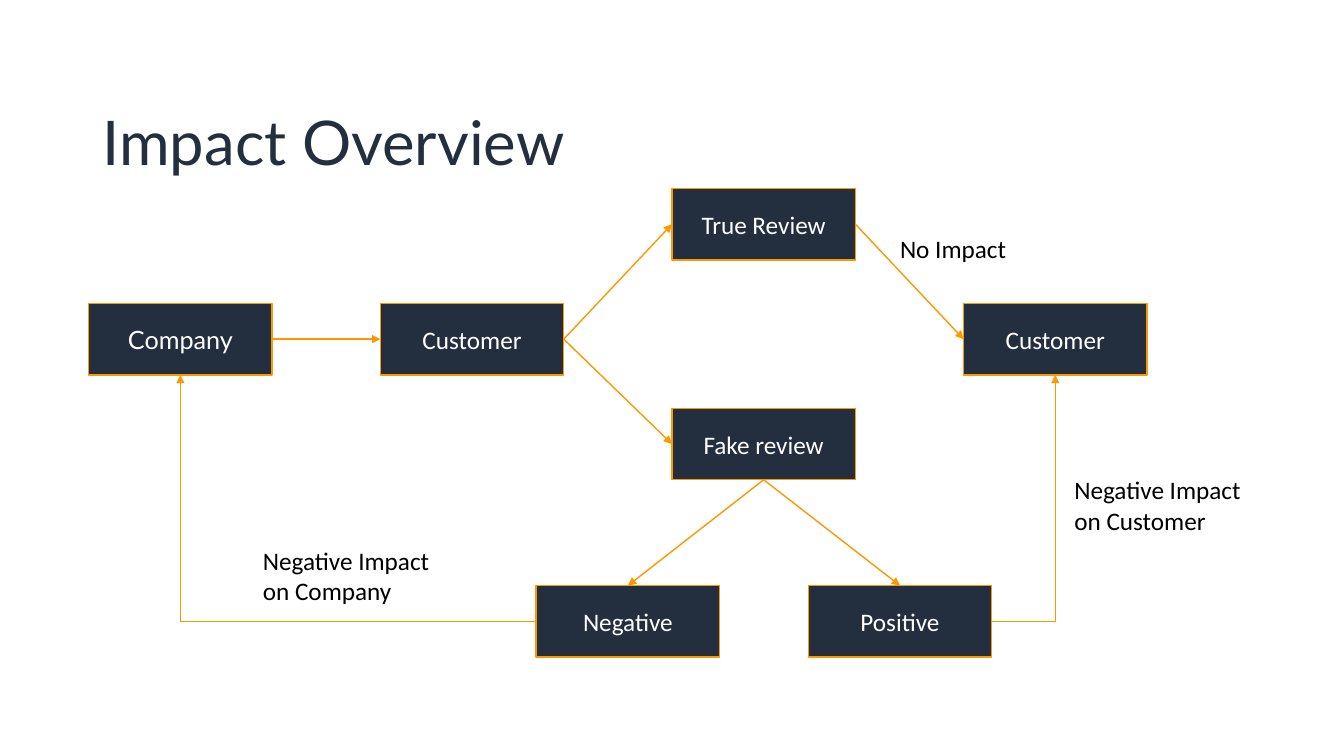
from dataclasses import dataclass

from lxml import etree
from pptx import Presentation
from pptx.dml.color import RGBColor
from pptx.enum.shapes import MSO_CONNECTOR, MSO_SHAPE
from pptx.enum.text import MSO_ANCHOR, MSO_AUTO_SIZE, PP_ALIGN
from pptx.oxml.ns import qn
from pptx.shapes.autoshape import Shape
from pptx.slide import Slide
from pptx.text.text import TextFrame
from pptx.util import Pt

RECT = MSO_SHAPE.RECTANGLE
STRAIGHT, ELBOW = MSO_CONNECTOR.STRAIGHT, MSO_CONNECTOR.ELBOW
MIDDLE = MSO_ANCHOR.MIDDLE
LEFT, CENTER = PP_ALIGN.LEFT, PP_ALIGN.CENTER
GROW = MSO_AUTO_SIZE.SHAPE_TO_FIT_TEXT
TOP, WEST, BOTTOM, EAST = range(4)

COLORS = {
    "navy": "232F3F",
    "title": "232F3E",
    "orange": "FD9800",
    "white": "FFFFFF",
    "black": "000000",
}
BOX_W, BOX_H = 131, 51.1
COLS = [63.4 + 208.3 * i for i in range(4)]
HIGH, MID, LOW, BASE = 134.6, 216.7, 291.6, 418.3


@dataclass
class Box:
    key: str
    text: str
    x: float
    y: float
    font: str = "Calibri"


@dataclass
class Arrow:
    start: str
    side: int
    end: str
    into: int
    bent: bool = False


@dataclass
class Label:
    text: str
    x: float
    y: float
    w: float
    h: float
    wrap: bool = True


BOXES = [
    Box("company", "Company", COLS[0], MID, "Lato"),
    Box("negative", "Negative", 383, BASE),
    Box("reader", "Customer", COLS[1], MID),
    Box("fake", "Fake review", COLS[2], LOW),
    Box("true", "True Review", COLS[2], HIGH),
    Box("buyer", "Customer", COLS[3], MID),
    Box("positive", "Positive", 577.4, BASE),
]
ARROWS = [
    Arrow("company", EAST, "reader", WEST),
    Arrow("reader", EAST, "true", WEST),
    Arrow("reader", EAST, "fake", WEST),
    Arrow("true", EAST, "buyer", WEST),
    Arrow("fake", BOTTOM, "negative", TOP),
    Arrow("fake", BOTTOM, "positive", TOP),
    Arrow("positive", EAST, "buyer", BOTTOM, bent=True),
    Arrow("negative", WEST, "company", BOTTOM, bent=True),
]
LABELS = [
    Label("No Impact", 635.8, 163.4, 91.4, 29.1, wrap=False),
    Label("Negative Impact on Customer", 760.3, 335.5, 154, 50.9),
    Label("Negative Impact on Company", 180.7, 385.9, 154, 50.9),
]


def color(name: str) -> RGBColor:
    return RGBColor.from_string(COLORS[name])


def write(frame: TextFrame, text: str, hue: str, font: str = "Calibri",
          size: float = 18, align: PP_ALIGN = LEFT) -> None:
    frame.text = text
    par = frame.paragraphs[0]
    par.alignment = align
    par.font.name = font
    par.font.size = Pt(size)
    par.font.color.rgb = color(hue)


def add_title(slide: Slide) -> None:
    title = slide.shapes.title
    title.left, title.top = Pt(66), Pt(64.1)
    title.width, title.height = Pt(828), Pt(79.2)
    frame = title.text_frame
    write(frame, "Impact Overview", "title", "Lato", 44)
    frame.vertical_anchor = MIDDLE
    frame.paragraphs[0].line_spacing = 0.9


def add_box(slide: Slide, box: Box) -> Shape:
    shape = slide.shapes.add_shape(
        RECT, Pt(box.x), Pt(box.y), Pt(BOX_W), Pt(BOX_H))
    shape.shadow.inherit = False
    shape.fill.solid()
    shape.fill.fore_color.rgb = color("navy")
    shape.line.color.rgb = color("orange")
    shape.line.width = Pt(1)
    write(shape.text_frame, box.text, "white", box.font, align=CENTER)
    shape.text_frame.vertical_anchor = MIDDLE
    return shape


def add_arrow(slide: Slide, arrow: Arrow, shapes: dict[str, Shape]) -> None:
    """Join two boxes; a bent arrow turns one corner only."""
    kind = ELBOW if arrow.bent else STRAIGHT
    link = slide.shapes.add_connector(kind, 0, 0, 0, 0)
    link.begin_connect(shapes[arrow.start], arrow.side)
    link.end_connect(shapes[arrow.end], arrow.into)
    link.line.color.rgb = color("orange")
    link.line.width = Pt(1)
    props = link._element.spPr
    if arrow.bent:
        props.find(qn("a:prstGeom")).set("prst", "bentConnector2")
    etree.SubElement(props.find(qn("a:ln")), qn("a:tailEnd"), type="triangle")
    etree.SubElement(props, qn("a:effectLst"))


def add_label(slide: Slide, label: Label) -> None:
    area = slide.shapes.add_textbox(
        Pt(label.x), Pt(label.y), Pt(label.w), Pt(label.h))
    frame = area.text_frame
    frame.word_wrap = label.wrap
    frame.auto_size = GROW
    write(frame, label.text, "black")


def main() -> None:
    deck = Presentation()
    deck.slide_width, deck.slide_height = Pt(960), Pt(540)
    slide = deck.slides.add_slide(deck.slide_layouts[5])
    add_title(slide)
    shapes = {box.key: add_box(slide, box) for box in BOXES}
    for arrow in ARROWS:
        add_arrow(slide, arrow, shapes)
    for label in LABELS:
        add_label(slide, label)
    deck.save("out.pptx")


if __name__ == "__main__":
    main()
